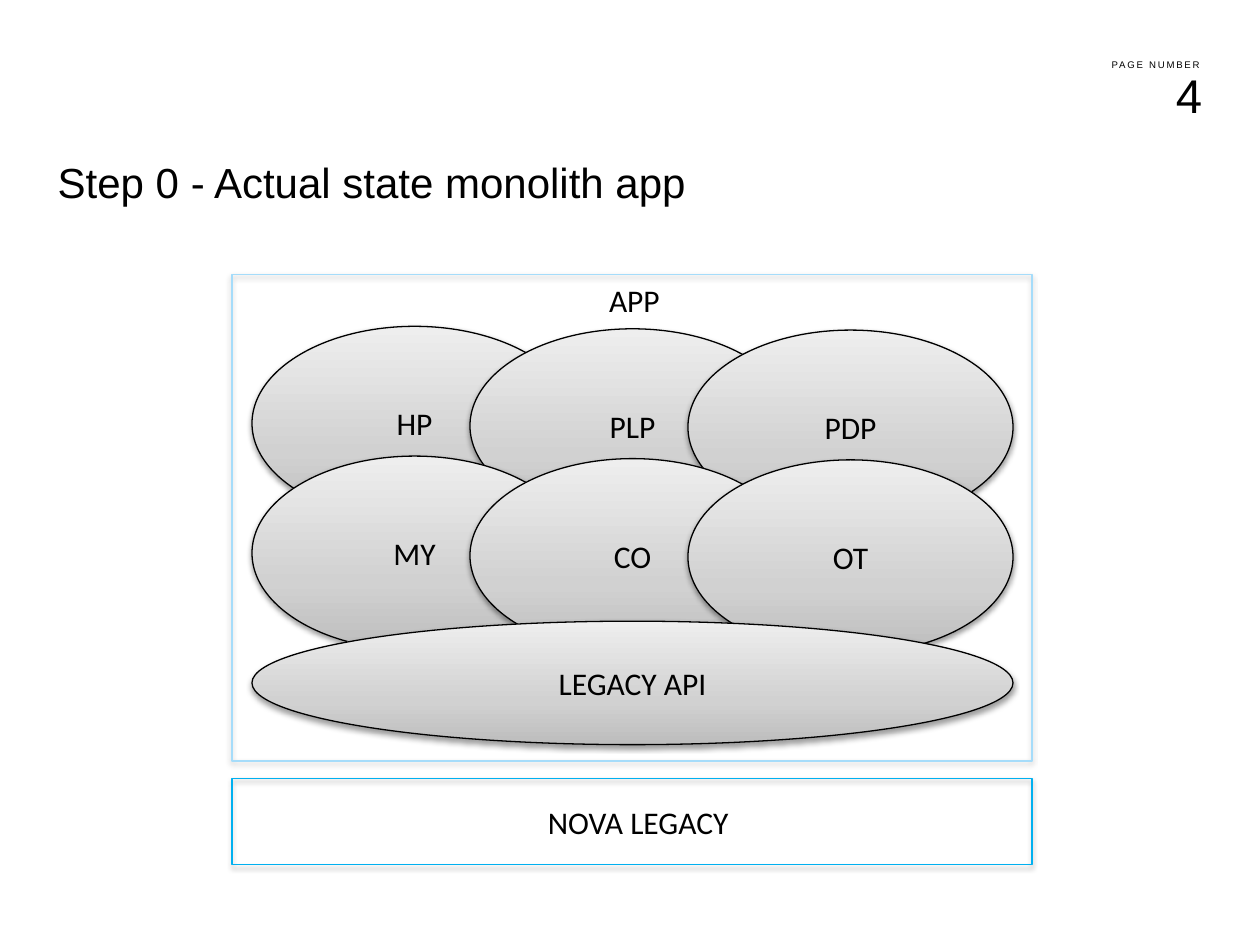
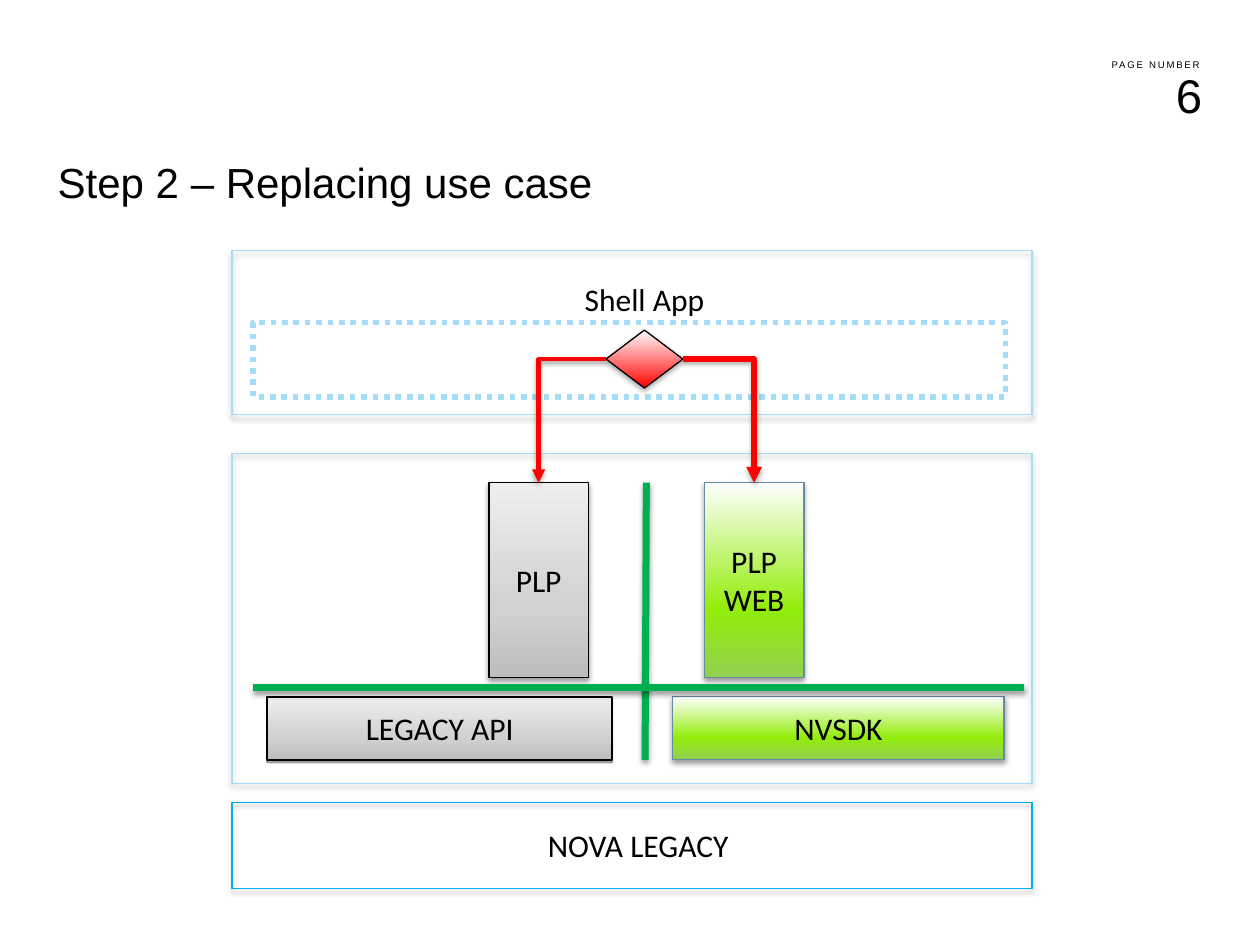
from dataclasses import dataclass
from itertools import product

from lxml import etree
from pptx import Presentation
from pptx.dml.color import RGBColor
from pptx.enum import dml, shapes, text
from pptx.oxml.ns import qn
from pptx.util import Emu, Pt

PX = 9144
INK = {
    "black": "000000", "pale": "A5DCFA", "sky": "00B0F0", "slate": "678BA0",
    "green": "00B050", "red": "FF0000",
}
FADE = {
    "grey": {0: "BDBDBD", 35: "D1D1D1", 100: "EEEEEE"},
    "lime": {0: "92D050", 35: "92ED0A", 100: "FFFFFF"},
    "red": {0: "FF0000", 100: "FFFFFF"},
}
KIND = shapes.MSO_SHAPE
ALIGN = text.PP_ALIGN
ANCHOR = text.MSO_ANCHOR
LEFT, WIDE = 184, 635


@dataclass
class Box:
    """A preset shape with its label and finish."""
    x: int
    y: int
    w: int
    h: int
    words: str = ""
    kind: int = KIND.RECTANGLE
    fade: str = ""
    edge: str = "black"
    weight: float = 0.75
    dash: bool = False
    shade: int = 38
    blur: float = 3.1


def px(*sizes: int) -> list[Emu]:
    """Turn px lengths into EMU."""
    return [Emu(size * PX) for size in sizes]


def tint(name: str) -> RGBColor:
    """Look up a colour by name."""
    return RGBColor.from_string(INK[name])


def write(frame, words: str, *, size: float = 18, font: str = "Calibri",
          align=ALIGN.CENTER, anchor=ANCHOR.MIDDLE, space: int = 0, drop: int = 5) -> None:
    """Fill a text frame, one paragraph per line."""
    frame.word_wrap = True
    frame.vertical_anchor = anchor
    frame.margin_top = Emu(drop * PX)
    for index, line in enumerate(words.split("\n")):
        para = frame.add_paragraph() if index else frame.paragraphs[0]
        para.alignment = align
        run = para.add_run()
        run.text = line
        run.font.size, run.font.name = Pt(size), font
        run.font.color.rgb = tint("black")
        if space:
            run.font._element.set("spc", str(space))


def label(slide, x: int, y: int, w: int, h: int, words: str, **form) -> None:
    """Add a text box."""
    write(slide.shapes.add_textbox(*px(x, y, w, h)).text_frame, words, **form)


def cast(item, shade: int, blur: float = 3.1) -> None:
    """Give an item a soft shadow that falls straight down."""
    props = item._element.spPr
    effects = props.find(qn("a:effectLst"))
    if effects is None:
        effects = etree.SubElement(props, qn("a:effectLst"))
    if not shade:
        return
    outer = etree.SubElement(effects, qn("a:outerShdw"), blurRad=str(Pt(blur)),
                             dist=str(Pt(1.6)), dir="5400000", rotWithShape="0")
    ink = etree.SubElement(outer, qn("a:srgbClr"), val=INK["black"])
    etree.SubElement(ink, qn("a:alpha"), val=str(shade * 1000))


def blend(shape, name: str) -> None:
    """Fill a shape with a gradient that rises from its base."""
    shape.fill.gradient()
    shape.fill.gradient_angle = 90
    stops = shape._element.spPr.find(f".//{qn('a:gsLst')}")
    for stop in list(stops):
        stops.remove(stop)
    for place, ink in FADE[name].items():
        stop = etree.SubElement(stops, qn("a:gs"), pos=str(place * 1000))
        etree.SubElement(stop, qn("a:srgbClr"), val=ink)


def draw(slide, box: Box):
    """Draw a box and return its shape."""
    shape = slide.shapes.add_shape(box.kind, *px(box.x, box.y, box.w, box.h))
    shape.shadow.inherit = False
    if box.fade:
        blend(shape, box.fade)
    else:
        shape.fill.background()
    shape.line.color.rgb = tint(box.edge)
    shape.line.width = Pt(box.weight)
    if box.dash:
        shape.line.dash_style = dml.MSO_LINE.ROUND_DOT
    cast(shape, box.shade, box.blur)
    if box.words:
        write(shape.text_frame, box.words)
    return shape


def style(link, ink: str, weight: float) -> None:
    """Set the colour, weight and shadow of a connector."""
    link.line.color.rgb = tint(ink)
    link.line.width = Pt(weight)
    cast(link, 38)


def rule(slide, *ends: int) -> None:
    """Draw a thick green divider."""
    style(slide.shapes.add_connector(shapes.MSO_CONNECTOR.STRAIGHT, *px(*ends)), "green", 4)


def route(slide, start, side: int, goal, weight: float) -> None:
    """Lead a red arrow from a side of one shape to the top of another."""
    link = slide.shapes.add_connector(shapes.MSO_CONNECTOR.ELBOW, 0, 0, 0, 0)
    link.begin_connect(start, side)
    link.end_connect(goal, 0)
    link._element.spPr.find(qn("a:prstGeom")).set("prst", "bentConnector2")
    style(link, "red", weight)
    etree.SubElement(link.line._ln, qn("a:tailEnd"), type="triangle")


def panel(slide, y: int, h: int, edge: str = "pale") -> None:
    """Draw a full-width outlined panel."""
    draw(slide, Box(LEFT, y, WIDE, h, edge=edge, shade=35))


def base(slide, y: int) -> None:
    """Draw the bottom panel with its label."""
    panel(slide, y, 68, "sky")
    label(slide, 371, y + 14, 271, 40, "NOVA LEGACY")


def start(deck, number: int, title: str):
    """Add a slide with its page number and title."""
    slide = deck.slides.add_slide(deck.slide_layouts[6])
    label(slide, 733, 42, 229, 19, "PAGE NUMBER", size=5.5, font="Arial",
          align=ALIGN.RIGHT, space=100)
    label(slide, 884, 45, 80, 43, str(number), size=27, font="Arial",
          align=ALIGN.RIGHT, anchor=ANCHOR.TOP, drop=8)
    label(slide, 36, 118, 919, 53, title, size=24, font="Arial", align=ALIGN.LEFT)
    return slide


def whole(deck) -> None:
    """Build the slide of the single app."""
    slide = start(deck, 4, "Step 0 - Actual state monolith app")
    panel(slide, 218, 386)
    names = ("HP", "PLP", "PDP", "MY", "CO", "OT")
    for name, (row, col) in zip(names, product(range(2), range(3))):
        y = 259 + 103 * row + (0, 2, 3)[col]
        draw(slide, Box(200 + 173 * col, y, 258, 154, name, KIND.OVAL, "grey"))
    draw(slide, Box(200, 493, 604, 98, "LEGACY API", KIND.OVAL, "grey"))
    label(slide, 283, 218, 441, 40, "APP")
    base(slide, 618)


def split(deck) -> None:
    """Build the slide of the shell that routes to old and new pages."""
    slide = start(deck, 6, "Step 2 – Replacing use case")
    panel(slide, 199, 130)
    label(slide, 291, 217, 441, 40, "Shell App")
    panel(slide, 360, 262)
    old = draw(slide, Box(388, 383, 79, 155, "PLP", fade="grey"))
    new = draw(slide, Box(559, 383, 79, 155, "PLP\nWEB", fade="lime", edge="slate"))
    draw(slide, Box(212, 553, 274, 50, "LEGACY API", fade="grey", weight=1, blur=0))
    draw(slide, Box(534, 553, 263, 50, "NVSDK", fade="lime", edge="slate"))
    rule(slide, 513, 383, 512, 603)
    draw(slide, Box(201, 256, 597, 59, edge="pale", weight=3.25, dash=True, shade=0))
    switch = draw(slide, Box(481, 262, 61, 46, kind=KIND.DIAMOND, fade="red", shade=35))
    route(slide, switch, 3, new, 3)
    route(slide, switch, 1, old, 2.5)
    base(slide, 637)
    rule(slide, 201, 546, 813, 546)


def main() -> None:
    """Build and save the deck."""
    deck = Presentation()
    deck.slide_width, deck.slide_height = px(1000, 750)
    whole(deck)
    split(deck)
    deck.save("out.pptx")


if __name__ == "__main__":
    main()
